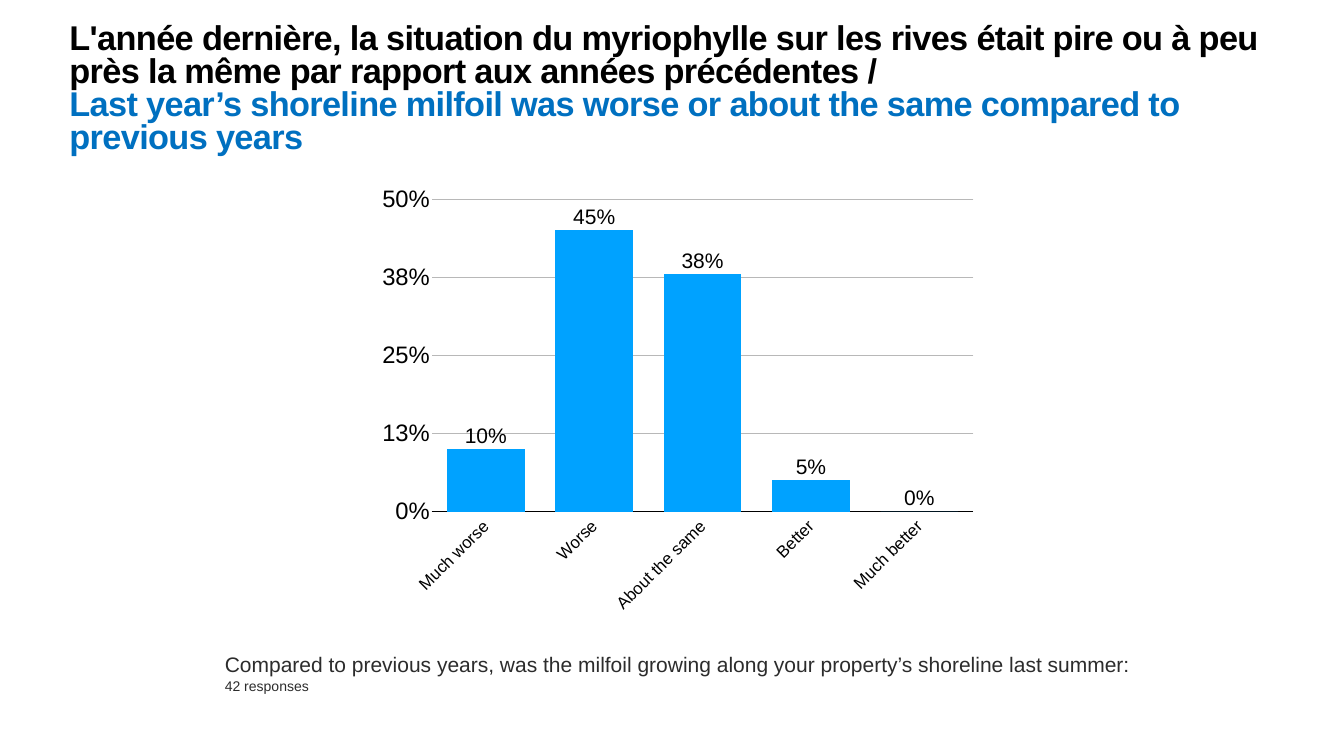
from pptx import Presentation
from pptx.chart.data import CategoryChartData
from pptx.dml.color import RGBColor
from pptx.enum.chart import XL_CHART_TYPE as Kind, XL_LABEL_POSITION as Spot
from pptx.enum.chart import XL_TICK_LABEL_POSITION as Side, XL_TICK_MARK as Tick
from pptx.enum.text import MSO_ANCHOR as Anchor
from pptx.oxml import parse_xml
from pptx.oxml.ns import nsdecls, qn
from pptx.util import Cm, Pt

COLORS = {"black": "000000", "blue": "0070C0", "bar": "00A2FF",
          "grid": "B8B8B8", "note": "2C2C2C"}
FONT = "Arial"
PERCENT = "#,##0%"
ANSWERS = {"Much worse": 0.10, "Worse": 0.45, "About the same": 0.38,
           "Better": 0.05, "Much better": 0}


def rgb(name):
    return RGBColor.from_string(COLORS[name])


def style(font, size, color, bold=False):
    font.name, font.size, font.bold = FONT, Pt(size), bold
    font.color.rgb = rgb(color)


def add_text(slide, box, text, anchor, wrap):
    frame = slide.shapes.add_textbox(*map(Cm, box)).text_frame
    frame.margin_left = frame.margin_right = Cm(0.15)
    frame.margin_top = frame.margin_bottom = Cm(0.15)
    frame.vertical_anchor, frame.word_wrap = anchor, wrap
    frame.text = text
    return frame


def add_title(slide, box):
    french = ("L'année dernière, la situation du myriophylle sur les rives "
              "était pire ou à peu près la même par rapport aux années précédentes / ")
    english = ("Last year’s shoreline milfoil was worse or about the same "
               "compared to previous years")
    frame = add_text(slide, box, french + "\v" + english, Anchor.TOP, True)
    para = frame.paragraphs[0]
    para.line_spacing = 0.8
    for run, color in zip(para.runs, ("black", "blue")):
        style(run.font, 49, color, True)
        run.font._element.set("spc", "-90")


def place_plot(chart, x, y, w, h):
    area = chart._chartSpace.chart.plotArea
    for old in area.findall(qn("c:layout")):
        area.remove(old)
    parts = {"xMode": "edge", "yMode": "edge", "x": x, "y": y, "w": w, "h": h}
    rows = "".join(f'<c:{key} val="{val}"/>' for key, val in parts.items())
    area.insert(0, parse_xml(
        f'<c:layout {nsdecls("c")}><c:manualLayout><c:layoutTarget val="inner"/>'
        f'{rows}</c:manualLayout></c:layout>'))


def add_bars(slide, box):
    data = CategoryChartData(number_format=PERCENT)
    data.categories = list(ANSWERS)
    data.add_series("Series 1", list(ANSWERS.values()))
    chart = slide.shapes.add_chart(Kind.COLUMN_CLUSTERED, *map(Cm, box), data).chart
    chart.has_title = chart.has_legend = False
    style(chart.font, 10, "black")
    place_plot(chart, 0.11, 0.04, 0.88, 0.7)

    # Axes
    cat, val = chart.category_axis, chart.value_axis
    for axis, size in ((cat, 24), (val, 34)):
        axis.major_tick_mark = axis.minor_tick_mark = Tick.NONE
        style(axis.tick_labels.font, size, "black")
    cat.tick_label_position = Side.LOW
    cat.format.line.color.rgb = rgb("black")
    cat.format.line.width = Pt(1)
    cat.tick_labels.font._element.getparent().getparent().getparent().find(
        qn("a:bodyPr")).set("rot", "-2700000")
    val.minimum_scale, val.maximum_scale, val.major_unit = 0, 0.5, 0.125
    val.tick_labels.number_format = PERCENT
    val.tick_labels.number_format_is_linked = False
    val.format.line.fill.background()
    val.has_major_gridlines = True
    val.major_gridlines.format.line.color.rgb = rgb("grid")
    val.major_gridlines.format.line.width = Pt(1)

    # Columns and their labels
    plot = chart.plots[0]
    plot.gap_width, plot.overlap, plot.vary_by_categories = 40, -10, False
    fill = plot.series[0].format.fill
    fill.solid()
    fill.fore_color.rgb = rgb("bar")
    labels = plot.series[0].data_labels
    labels.show_value, labels.position = True, Spot.OUTSIDE_END
    labels.number_format, labels.number_format_is_linked = PERCENT, False
    style(labels.font, 30, "black")


def add_note(slide, box):
    text = ("Compared to previous years, was the milfoil growing along your "
            "property’s shoreline last summer:\n42 responses")
    frame = add_text(slide, box, text, Anchor.MIDDLE, False)
    for para, size in zip(frame.paragraphs, (30, 20)):
        style(para.runs[0].font, size, "note")


def main():
    deck = Presentation()
    deck.slide_width, deck.slide_height = Cm(67.74), Cm(38.1)
    slide = deck.slides.add_slide(deck.slide_layouts[6])
    add_title(slide, (3.35, 1.07, 63.5, 9.63))
    add_bars(slide, (18.34, 9.14, 31.04, 22.5))
    add_note(slide, (11.18, 32.77, 45.95, 2.29))
    deck.save("out.pptx")


if __name__ == "__main__":
    main()
